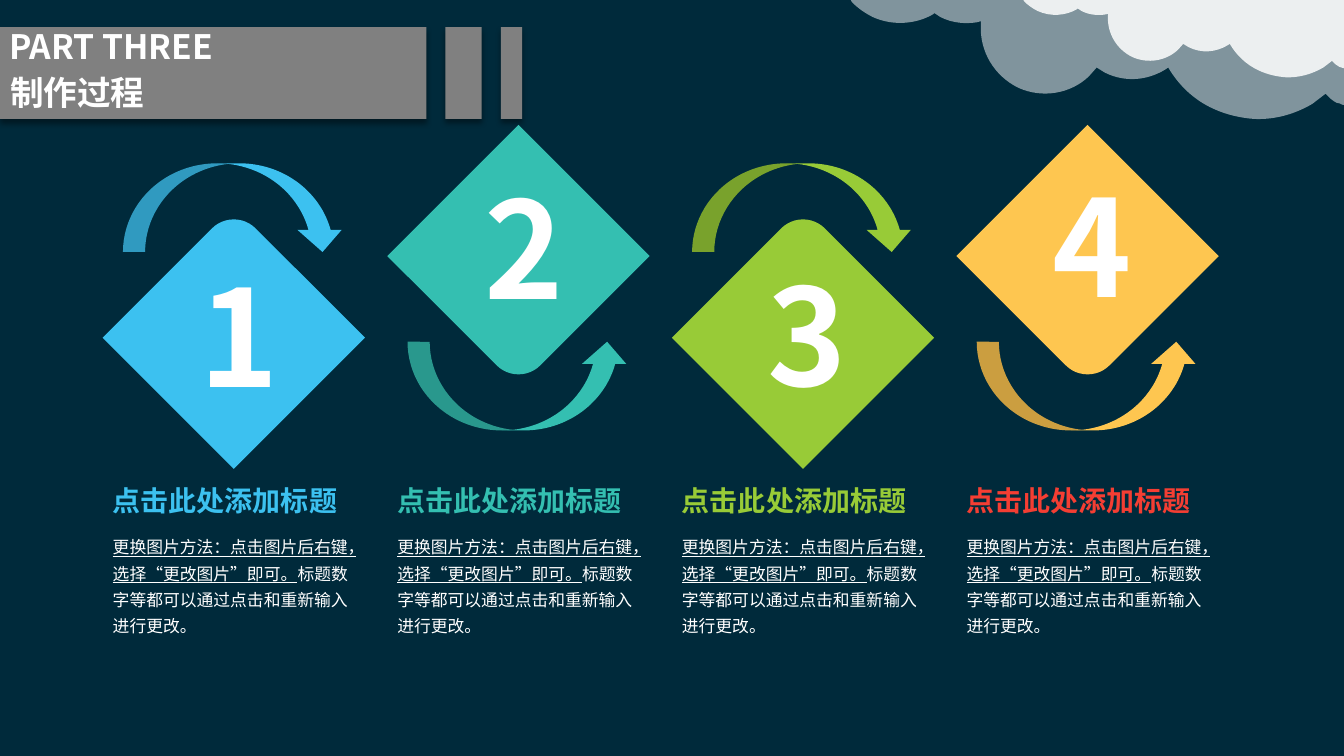
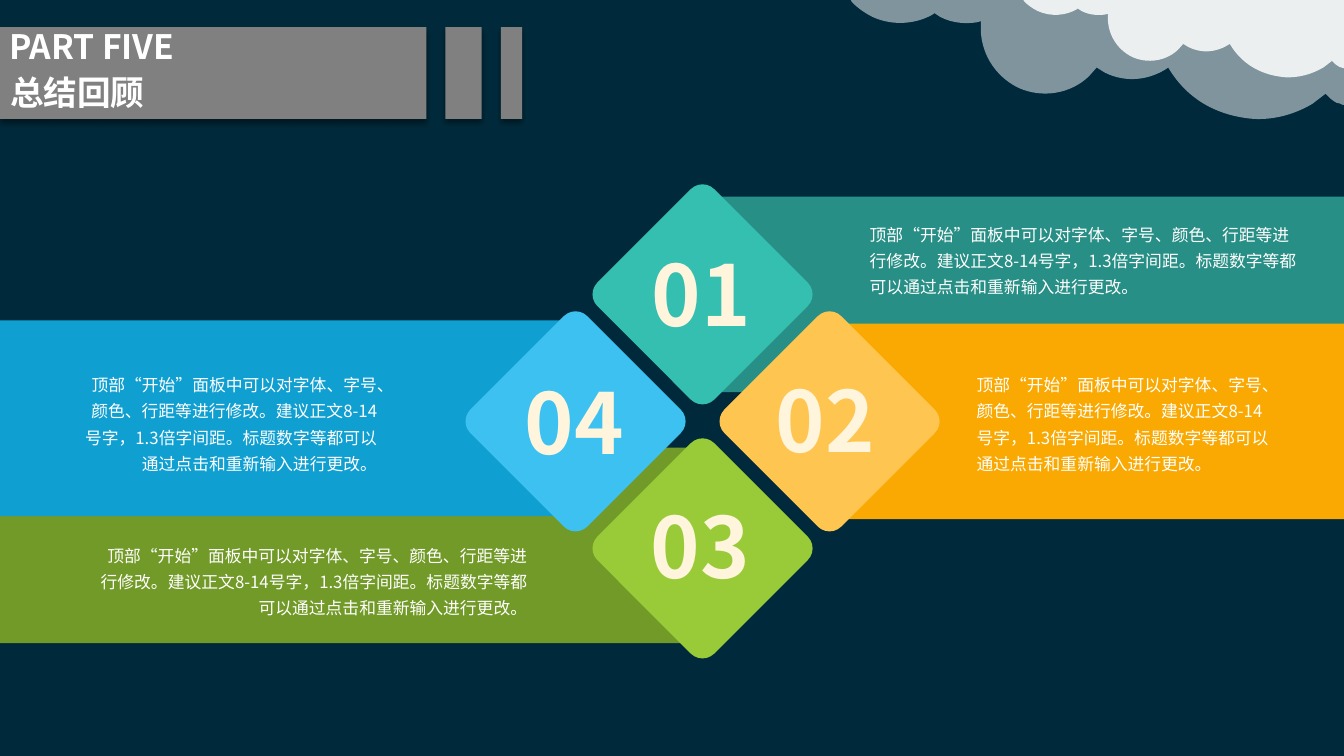
"""Build a two-slide deck: a four-step process and a four-part summary."""
import pptx
import pptx.dml.color
import pptx.enum.lang
import pptx.enum.shapes
import pptx.enum.text
import pptx.oxml.ns
import pptx.util
from lxml import etree

Inches, Pt = pptx.util.Inches, pptx.util.Pt
SHAPE = pptx.enum.shapes.MSO_SHAPE
ALIGN = pptx.enum.text.PP_ALIGN
AUTO = pptx.enum.text.MSO_AUTO_SIZE
qn = pptx.oxml.ns.qn

W, H = 40 / 3, 7.5
FONT = "Noto Sans CJK SC"
NAVY, GREY, WHITE, CREAM = "002A3B", "808080", "FFFFFF", "FFF4DC"
BLUE, TEAL, GREEN, YELLOW, RED = "3CC1F0", "34BFB1", "98CB37", "FEC650", "F43E33"

BAR_TOP, BAR_HEIGHT = 0.27, 0.91
BARS = [(0, 4.23), (4.42, 0.36), (4.97, 0.21)]
HEADING_BOXES = [(-0.01, 0.27, 4.24, 0.45), (0, 0.72, 4.23, 0.46)]
CLOUD_SCALES = [(1, 50), (0.65, 85)]
CLOUD_START = (12.44, 1.18)
CLOUD = [
    (12.31, 1.17, 12.17, 1.14, 12.04, 1.08), (11.84, 0.99, 11.69, 0.84, 11.59, 0.67),
    (11.59, 0.67), (11.56, 0.69), (11.38, 0.8, 11.16, 0.82, 10.96, 0.72), (10.88, 0.67),
    (10.8, 0.76), (10.62, 0.93, 10.34, 0.98, 10.1, 0.87), (9.86, 0.75, 9.72, 0.51, 9.73, 0.25),
    (9.73, 0.21), (9.7, 0.22), (9.58, 0.24, 9.45, 0.23, 9.33, 0.17), (9.27, 0.13),
    (9.26, 0.14), (9.09, 0.24, 8.86, 0.26, 8.66, 0.17), (8.58, 0.13, 8.51, 0.08, 8.45, 0.02),
    (8.44, 0), (W, 0), (W, 1.04), (13.32, 1.04),
    (13.3, 1.03, 13.28, 1.02, 13.26, 1.02), (13.22, 1, 13.19, 0.97, 13.17, 0.95),
    (13.15, 0.93), (13.02, 1.03), (12.85, 1.13, 12.65, 1.19, 12.44, 1.18),
]

STEP_TITLE = "点击此处添加标题"
STEP_LINK = "更换图片方法：点击图片后右键，选择“更改图片”即可。"
STEP_TEXT = "标题数字等都可以通过点击和重新输入进行更改。"
STEPS = [(BLUE, BLUE, (1.88, 2.46)), (TEAL, TEAL, (4.71, 1.59)),
         (GREEN, GREEN, (7.52, 2.45)), (YELLOW, RED, (10.34, 1.57))]
STEP_LEFT, STEP_PITCH = 1.02, 8.47 / 3

PART_TEXT = ("顶部“开始”面板中可以对字体、字号、颜色、行距等进行修改。"
             "建议正文8-14号字，1.3倍字间距。标题数字等都可以通过点击和重新输入进行更改。")
CENTRE_X, CENTRE_Y, SPREAD = 6.97, 4.18, 1.26
PARTS = [
    {"no": "03", "dir": (0, 1), "side": "left", "fill": GREEN, "band": "729A28",
     "no_at": (6.33, 4.86), "text": (0.82, 5.3, 4.51, 0.89)},
    {"no": "04", "dir": (-1, 0), "side": "left", "fill": BLUE, "band": "109FD1",
     "no_at": (5.08, 3.63), "text": (0.73, 3.61, 3.11, 1.15)},
    {"no": "01", "dir": (0, -1), "side": "right", "fill": TEAL, "band": "278F85",
     "no_at": (6.34, 2.36), "text": (8.53, 2.12, 4.51, 0.89)},
    {"no": "02", "dir": (1, 0), "side": "right", "fill": YELLOW, "band": "F9A901",
     "no_at": (7.57, 3.61), "text": (9.59, 3.61, 3.11, 1.15)},
]


def rgb(value):
    return pptx.dml.color.RGBColor.from_string(value)


def paint(sp, color, alpha=None):
    sp.shadow.inherit = False
    sp.fill.solid()
    sp.fill.fore_color.rgb = rgb(color)
    sp.line.fill.background()
    if alpha:
        clr = sp.element.spPr.find(qn("a:solidFill"))[0]
        etree.SubElement(clr, qn("a:alpha")).set("val", str(alpha * 1000))
    return sp


def add_shape(slide, kind, box, color, rotation=0):
    sp = slide.shapes.add_shape(kind, *map(Inches, box))
    sp.rotation = rotation
    return paint(sp, color)


def style(run, size, color, bold=False, underline=None):
    f = run.font
    f.name, f.size, f.bold, f.underline = FONT, Pt(size), bold, underline
    f.color.rgb = rgb(color)
    f.language_id = pptx.enum.lang.MSO_LANGUAGE_ID.SIMPLIFIED_CHINESE
    ea = etree.Element(qn("a:ea"))
    ea.set("typeface", FONT)
    f._element.find(qn("a:latin")).addnext(ea)


def add_text(slide, box, text, size, color, bold=False, align=ALIGN.LEFT,
             wrap=True, spacing=None, link=None):
    sp = slide.shapes.add_textbox(*map(Inches, box))
    tf = sp.text_frame
    tf.word_wrap, tf.auto_size = wrap, AUTO.SHAPE_TO_FIT_TEXT
    p = tf.paragraphs[0]
    p.alignment, p.line_spacing = align, spacing
    for words, underline in ((link, True), (text, None)):
        if words:
            r = p.add_run()
            r.text = words
            style(r, size, color, bold, underline)
    return sp


def add_bar_shadow(sp):
    effects = sp.element.spPr.find(qn("a:effectLst"))
    shadow = etree.SubElement(effects, qn("a:outerShdw"), blurRad=str(Pt(4)),
                              dist=str(Pt(3)), dir="5400000", algn="t", rotWithShape="0")
    clr = etree.SubElement(shadow, qn("a:srgbClr"), val="000000")
    etree.SubElement(clr, qn("a:alpha"), val="40000")


def add_cloud(slide, scale, alpha):
    def place(x, y):
        return Inches(W + (x - W) * scale), Inches(y * scale)

    builder = slide.shapes.build_freeform(*place(*CLOUD_START), scale=1.0)
    builder.add_line_segments([place(*item[-2:]) for item in CLOUD], close=True)
    sp = paint(builder.convert_to_shape(), WHITE, alpha)
    segments = list(sp.element.spPr.iter(qn("a:lnTo")))
    for segment, item in zip(segments, CLOUD):
        if len(item) == 6:
            segment.tag = qn("a:cubicBezTo")
            controls = [place(*item[:2]), place(*item[2:4])]
            for position, (x, y) in enumerate(controls):
                pt = etree.Element(qn("a:pt"), x=str(x - sp.left), y=str(y - sp.top))
                segment.insert(position, pt)
    return sp


def prepare_layout(layout, slide):
    layout.background.fill.solid()
    layout.background.fill.fore_color.rgb = rgb(NAVY)
    for ph, box in zip(list(layout.placeholders)[:2], HEADING_BOXES):
        ph.left, ph.top, ph.width, ph.height = map(Inches, box)
    decor = []
    for left, width in BARS:
        sp = add_shape(slide, SHAPE.RECTANGLE, (left, BAR_TOP, width, BAR_HEIGHT), GREY)
        add_bar_shadow(sp)
        decor.append(sp)
    decor += [add_cloud(slide, scale, alpha) for scale, alpha in CLOUD_SCALES]
    for number, sp in enumerate(decor, 100):
        sp.element.nvSpPr.cNvPr.set("id", str(number))
        layout.shapes.element.append(sp.element)


def set_heading(slide, *lines):
    for ph, line in zip(slide.placeholders, lines):
        tf = ph.text_frame
        tf.text = line
        tf.word_wrap, tf.auto_size = True, AUTO.NONE
        tf.vertical_anchor = pptx.enum.text.MSO_ANCHOR.MIDDLE
        p = tf.paragraphs[0]
        p.alignment, p.line_spacing, p.space_before = ALIGN.LEFT, 0.8, Pt(10)
        pPr = p._p.get_or_add_pPr()
        pPr.set("marL", "0")
        pPr.set("indent", "0")
        etree.SubElement(pPr, qn("a:buNone"))
        style(p.runs[0], 24, WHITE, bold=True)


def build_process(slide):
    for i, (color, title_color, number_at) in enumerate(STEPS):
        left = STEP_LEFT + i * STEP_PITCH
        raised = i % 2 == 1
        arrow = add_shape(slide, SHAPE.CURVED_DOWN_ARROW,
                          (left + 0.2, 3.39 if raised else 1.62, 2.2, 0.88),
                          color, 180 if raised else 0)
        if raised:
            arrow.element.spPr.find(qn("a:xfrm")).set("flipH", "1")
        diamond = add_shape(slide, SHAPE.ROUND_1_RECTANGLE,
                            (left + 0.38, 1.62 if raised else 2.43, 1.84, 1.84),
                            color, 135 if raised else 315)
        number = add_text(slide, (*number_at, 0.88, 1.72), str(i + 1), 96, WHITE,
                          bold=True, align=ALIGN.CENTER)
        slide.shapes.add_group_shape([diamond, number])
        add_text(slide, (left, 5.22, 2.61, 1.15), STEP_TEXT, 12, WHITE,
                 spacing=1.3, link=STEP_LINK)
        add_text(slide, (left, 4.75, 2.45, 0.44), STEP_TITLE, 20, title_color,
                 bold=True, wrap=False)


def build_summary(slide):
    centres = [(CENTRE_X + p["dir"][0] * SPREAD, CENTRE_Y + p["dir"][1] * SPREAD)
               for p in PARTS]
    for part, (x, y) in zip(PARTS, centres):
        if part["side"] == "left":
            box = (0, y - 1, x + 0.04, 1.94)
        else:
            box = (x, y - 0.97, W - x, 1.94)
        add_shape(slide, SHAPE.RECTANGLE, box, part["band"])
    for part, (x, y) in zip(PARTS, centres):
        sp = add_shape(slide, SHAPE.ROUNDED_RECTANGLE, (x - 0.82, y - 0.82, 1.64, 1.64),
                       part["fill"], 315)
        sp.adjustments[0] = 0.1
    for part in PARTS:
        add_text(slide, (*part["no_at"], 1.24, 1.11), part["no"], 60, CREAM,
                 bold=True, align=ALIGN.CENTER, wrap=False)
        add_text(slide, part["text"], PART_TEXT, 12, WHITE, spacing=1.3,
                 align=ALIGN.RIGHT if part["side"] == "left" else ALIGN.LEFT)


def main():
    prs = pptx.Presentation()
    prs.slide_width, prs.slide_height = Inches(W), Inches(H)
    layout = prs.slide_layouts[1]
    process, summary = (prs.slides.add_slide(layout) for _ in range(2))
    prepare_layout(layout, process)
    set_heading(process, "PART THREE", "制作过程")
    build_process(process)
    set_heading(summary, "PART FIVE", "总结回顾")
    build_summary(summary)
    prs.save("out.pptx")


if __name__ == "__main__":
    main()
